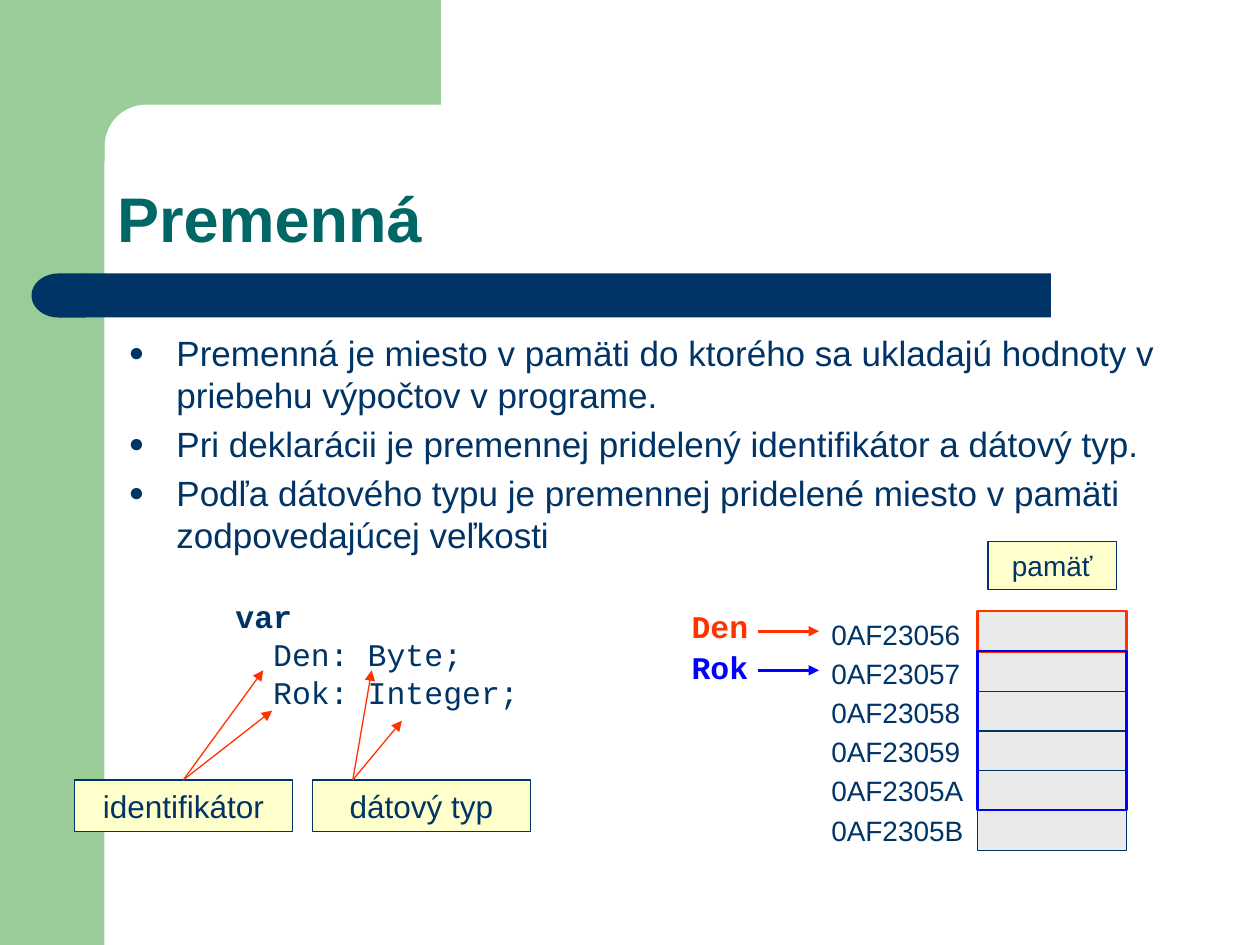
import math
from dataclasses import dataclass

import pptx
import pptx.dml.color
import pptx.enum.shapes
import pptx.enum.text
import pptx.oxml
import pptx.oxml.ns
import pptx.util

Inches = pptx.util.Inches
Pt = pptx.util.Pt
SHAPE = pptx.enum.shapes.MSO_SHAPE
ALIGN = pptx.enum.text.PP_ALIGN
ANCHOR = pptx.enum.text.MSO_ANCHOR

COLORS = {
    "green": "99CC99", "navy": "003366", "teal": "006666", "cream": "FFFFCC",
    "grey": "EAEAEA", "red": "FF3300", "blue": "0000FF",
}
BULLETS = [
    "Premenná je miesto v pamäti do ktorého sa ukladajú hodnoty v priebehu výpočtov v programe.",
    "Pri deklarácii je premennej pridelený identifikátor a dátový typ.",
    "Podľa dátového typu je premennej pridelené miesto v pamäti zodpovedajúcej veľkosti",
]
ADDRESSES = ["0AF23056", "0AF23057", "0AF23058", "0AF23059", "0AF2305A", "0AF2305B"]
MEMORY_LEFT, MEMORY_TOP, CELL_WIDTH, CELL_HEIGHT = 7.76, 4.85, 1.18, 0.32
CELL_STEP = 1.58 / 5


@dataclass
class Box:
    left: float
    top: float
    width: float
    height: float

    def emu(self) -> list:
        return [Inches(v) for v in (self.left, self.top, self.width, self.height)]


@dataclass
class Label:
    text: str
    box: Box
    size: int
    targets: tuple = ()
    arrow_left: float | None = None  # None starts the arrows at the top middle


@dataclass
class Variable:
    name: str
    color: str
    text_top: float
    arrow_y: float


LABELS = [
    Label("identifikátor", Box(0.59, 6.19, 1.73, 0.41), 18, ((2.16, 5.64), (2.09, 5.32))),
    Label("dátový typ", Box(2.48, 6.19, 1.73, 0.41), 18, ((2.95, 5.32), (3.19, 5.72)), 2.8),
    Label("pamäť", Box(7.84, 4.3, 1.02, 0.38), 16),
]
VARIABLES = [Variable("Den", "red", 4.77, 5.01), Variable("Rok", "blue", 5.09, 5.32)]


def rgb(color: str) -> pptx.dml.color.RGBColor:
    return pptx.dml.color.RGBColor.from_string(COLORS[color])


def write(frame, lines, *, size, color="navy", font="Arial", bold=False,
          align=ALIGN.LEFT, before=0, spacing=None, anchor=ANCHOR.TOP) -> list:
    """Fill a text frame with one paragraph a line and return the paragraphs."""
    frame.word_wrap = True
    frame.auto_size = pptx.enum.text.MSO_AUTO_SIZE.NONE
    frame.vertical_anchor = anchor
    frame.text = "\n".join(lines)
    for paragraph in frame.paragraphs:
        paragraph.alignment = align
        paragraph.space_before = Pt(before)
        paragraph.line_spacing = spacing
        style = paragraph.runs[0].font
        style.name, style.size, style.bold = font, Pt(size), bold
        style.color.rgb = rgb(color)
    return list(frame.paragraphs)


def paint(shape, fill=None, line=None, width=0.75) -> None:
    shape.shadow.inherit = False
    if fill:
        shape.fill.solid()
        shape.fill.fore_color.rgb = rgb(fill)
    else:
        shape.fill.background()
    if line:
        shape.line.color.rgb = rgb(line)
        shape.line.width = Pt(width)
    else:
        shape.line.fill.background()


def add_block(slide, box: Box, kind=SHAPE.RECTANGLE, **look):
    block = slide.shapes.add_shape(kind, *box.emu())
    paint(block, **look)
    return block


def add_text(slide, box: Box, lines, **style) -> list:
    return write(slide.shapes.add_textbox(*box.emu()).text_frame, lines, **style)


def add_arrow(slide, start, end, color, width=0.75):
    arrow = slide.shapes.add_connector(
        pptx.enum.shapes.MSO_CONNECTOR.STRAIGHT, *[Inches(v) for v in (*start, *end)])
    arrow.line.color.rgb = rgb(color)
    arrow.line.width = Pt(width)
    head = pptx.oxml.parse_xml(f'<a:tailEnd {pptx.oxml.ns.nsdecls("a")} type="triangle"/>')
    arrow.line._get_or_add_ln().append(head)
    effects = pptx.oxml.parse_xml(f'<a:effectLst {pptx.oxml.ns.nsdecls("a")}/>')
    arrow._element.spPr.append(effects)
    return arrow


def set_indent(paragraph, left: float, first: float = 0) -> None:
    properties = paragraph._p.get_or_add_pPr()
    properties.set("marL", str(Inches(left)))
    properties.set("indent", str(Inches(first)))


def add_bullet(paragraph) -> None:
    set_indent(paragraph, 0.38, -0.38)
    namespace = pptx.oxml.ns.nsdecls("a")
    for xml in (
        f'<a:buClr {namespace}><a:srgbClr val="{COLORS["navy"]}"/></a:buClr>',
        f'<a:buSzPct {namespace} val="75000"/>',
        f'<a:buFont {namespace} typeface="Arial"/>',
        f'<a:buChar {namespace} char="●"/>',
    ):
        paragraph._p.get_or_add_pPr().append(pptx.oxml.parse_xml(xml))


def draw_frame(slide) -> None:
    """Draw the green corner with its rounded inner edge and the navy bar."""
    add_block(slide, Box(0, 0, 0.83, 7.5), fill="green")
    radius, steps = 0.33, 16
    angles = [math.pi / 2 * step / steps for step in range(steps + 1)]
    curve = [(1.16 - radius * math.sin(a), 1.16 - radius * math.cos(a)) for a in angles]
    outline = [(3.5, 0), (3.5, 0.83), *curve, (0.83, 1.28), (0.5, 1.28), (0.5, 0)]
    points = [(Inches(x), Inches(y)) for x, y in outline]
    builder = slide.shapes.build_freeform(*points[0])
    builder.add_line_segments(points[1:], close=True)
    paint(builder.convert_to_shape(), fill="green")
    add_block(slide, Box(0.67, 2.17, 7.67, 0.35), fill="navy")
    bar_end = add_block(slide, Box(0.25, 2.17, 0.43, 0.35), SHAPE.FLOWCHART_DELAY, fill="navy")
    bar_end.rotation = 180


def fill_placeholders(slide) -> None:
    title, body = slide.shapes.title, slide.placeholders[1]
    for placeholder, box in ((title, Box(0.83, 0.83, 8.67, 1.25)),
                             (body, Box(0.92, 2.58, 8.41, 1.95))):
        placeholder.left, placeholder.top, placeholder.width, placeholder.height = box.emu()
    write(title.text_frame, ["Premenná"], size=36, color="teal", bold=True,
          spacing=0.9, anchor=ANCHOR.BOTTOM)
    for paragraph in write(body.text_frame, BULLETS, size=20, before=4):
        add_bullet(paragraph)


def draw_declaration(slide) -> None:
    keyword, *declarations = add_text(
        slide, Box(1.77, 4.69, 3.23, 1), ["var", "Den: Byte;", "Rok: Integer;"],
        size=18, font="Courier New")
    keyword.runs[0].font.bold = True
    for declaration in declarations:
        set_indent(declaration, 0.3)


def draw_label(slide, label: Label) -> None:
    block = add_block(slide, label.box, fill="cream", line="navy")
    write(block.text_frame, [label.text], size=label.size, align=ALIGN.CENTER,
          anchor=ANCHOR.MIDDLE)
    for target in label.targets:
        middle = label.box.left + label.box.width / 2
        arrow = add_arrow(slide, (label.arrow_left or middle, label.box.top), target, "red")
        if label.arrow_left is None:
            arrow.begin_connect(block, 0)


def draw_memory(slide) -> None:
    for row in reversed(range(len(ADDRESSES))):
        cell = Box(MEMORY_LEFT, MEMORY_TOP + row * CELL_STEP, CELL_WIDTH, CELL_HEIGHT)
        outline = {"line": "navy"} if row else {"line": "red", "width": 1.5}
        add_block(slide, cell, fill="grey", **outline)
    add_block(slide, Box(MEMORY_LEFT, MEMORY_TOP + CELL_STEP, CELL_WIDTH, 4 * CELL_STEP),
              line="blue", width=1.5)
    add_text(slide, Box(6.5, MEMORY_TOP, 1.26, 1.97), ADDRESSES, size=16, before=3.2)
    for variable in VARIABLES:
        add_text(slide, Box(5.39, variable.text_top, 0.71, 0.4), [variable.name],
                 size=18, color=variable.color, font="Courier New", bold=True)
        add_arrow(slide, (6.02, variable.arrow_y), (6.5, variable.arrow_y),
                  variable.color, 1.5)


def main() -> None:
    deck = pptx.Presentation()
    deck.slide_width, deck.slide_height = Inches(10), Inches(7.5)
    slide = deck.slides.add_slide(deck.slide_layouts[1])
    draw_frame(slide)
    fill_placeholders(slide)
    draw_declaration(slide)
    for label in LABELS:
        draw_label(slide, label)
    draw_memory(slide)
    deck.save("out.pptx")


if __name__ == "__main__":
    main()
